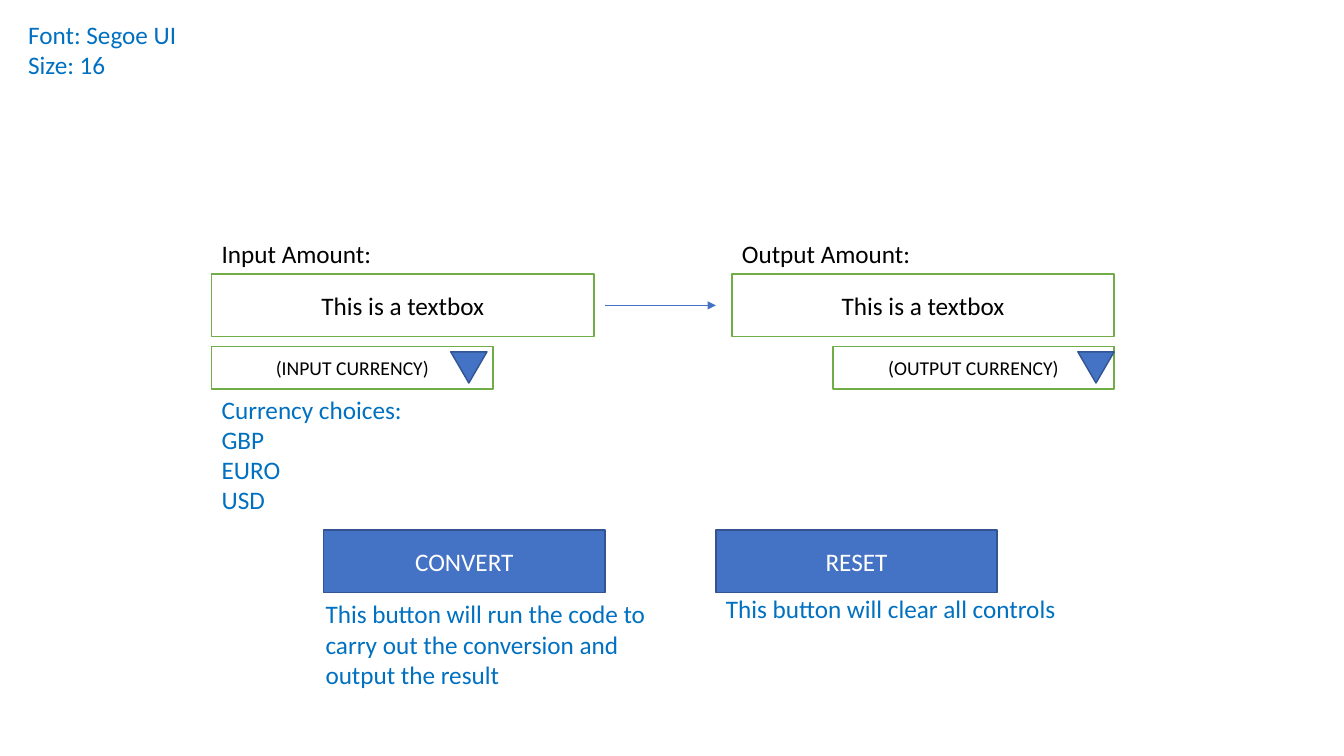
import pptx
import pptx.dml.color
import pptx.enum.shapes
import pptx.enum.text
import pptx.oxml
import pptx.oxml.ns
import pptx.util

Inches = pptx.util.Inches
Pt = pptx.util.Pt
RGBColor = pptx.dml.color.RGBColor
SHAPES = pptx.enum.shapes.MSO_SHAPE
ALIGN = pptx.enum.text.PP_ALIGN
ANCHOR = pptx.enum.text.MSO_ANCHOR

BLACK = RGBColor(0x00, 0x00, 0x00)
WHITE = RGBColor(0xFF, 0xFF, 0xFF)
GREEN = RGBColor(0x70, 0xAD, 0x47)
BLUE = RGBColor(0x44, 0x72, 0xC4)
DARK_BLUE = RGBColor(0x32, 0x54, 0x91)
NOTE_BLUE = RGBColor(0x00, 0x70, 0xC0)

# Grid in inches
INPUT_LEFT, OUTPUT_LEFT = 2.1, 7.26
FIELD_WIDTH, FIELD_HEIGHT = 3.79, 0.62
SMALL_WIDTH, LIST_HEIGHT = 2.79, 0.42
LABEL_TOP, FIELD_TOP, LIST_TOP, BUTTON_TOP = 2.32, 2.72, 3.44, 5.26
CONVERT_LEFT, RESET_LEFT = 3.21, 7.1

presentation = pptx.Presentation()
presentation.slide_width = Inches(13.33)
presentation.slide_height = Inches(7.5)
slide = presentation.slides.add_slide(presentation.slide_layouts[6])


def add_control(kind, left, top, width, height, fill, line, text="", size=18, color=BLACK):
    shape = slide.shapes.add_shape(
        kind, Inches(left), Inches(top), Inches(width), Inches(height))
    shape.shadow.inherit = False
    shape.fill.solid()
    shape.fill.fore_color.rgb = fill
    shape.line.color.rgb = line
    shape.line.width = Pt(1)
    if text:
        write(shape.text_frame, [[text]], size, color)
        shape.text_frame.vertical_anchor = ANCHOR.MIDDLE
        shape.text_frame.paragraphs[0].alignment = ALIGN.CENTER
    return shape


def write(text_frame, paragraphs, size, color):
    """Each paragraph is a list of lines, parted by line breaks."""
    text_frame.word_wrap = True
    for index, lines in enumerate(paragraphs):
        paragraph = text_frame.add_paragraph() if index else text_frame.paragraphs[0]
        for number, line in enumerate(lines):
            if number:
                paragraph.add_line_break()
            run = paragraph.add_run()
            run.text = line
            run.font.name = "Calibri"
            run.font.size = Pt(size)
            run.font.color.rgb = color


# Amount fields and currency lists
for left, list_left, arrow_left, list_text in [
    (INPUT_LEFT, INPUT_LEFT, 4.47, "(INPUT CURRENCY)"),
    (OUTPUT_LEFT, OUTPUT_LEFT + FIELD_WIDTH - SMALL_WIDTH, 10.69, "(OUTPUT CURRENCY)"),
]:
    add_control(SHAPES.RECTANGLE, left, FIELD_TOP, FIELD_WIDTH, FIELD_HEIGHT,
                WHITE, GREEN, "This is a textbox")
    add_control(SHAPES.RECTANGLE, list_left, LIST_TOP, SMALL_WIDTH, LIST_HEIGHT,
                WHITE, GREEN, list_text, 14)
    triangle = add_control(SHAPES.ISOSCELES_TRIANGLE, arrow_left, LIST_TOP + 0.05,
                           0.36, 0.31, BLUE, DARK_BLUE)
    triangle.rotation = 180

# Buttons
for left, caption in [(CONVERT_LEFT, "CONVERT"), (RESET_LEFT, "RESET")]:
    add_control(SHAPES.RECTANGLE, left, BUTTON_TOP, SMALL_WIDTH, FIELD_HEIGHT,
                BLUE, DARK_BLUE, caption, color=WHITE)

# Arrow from input to output
arrow_y = Inches(FIELD_TOP + FIELD_HEIGHT / 2)
arrow = slide.shapes.add_connector(
    pptx.enum.shapes.MSO_CONNECTOR.STRAIGHT, Inches(6), arrow_y, Inches(7.1), arrow_y)
arrow.line.color.rgb = BLUE
arrow.line.width = Pt(0.5)
qn = pptx.oxml.ns.qn
line_end = arrow.line._get_or_add_ln().makeelement(qn("a:tailEnd"), {"type": "triangle"})
arrow.line._get_or_add_ln().append(line_end)
properties = arrow._element.spPr
properties.append(properties.makeelement(qn("a:effectLst"), {}))

# Field labels and design notes
for left, top, width, height, color, paragraphs in [
    (INPUT_LEFT, LABEL_TOP, 1.69, 0.4, BLACK, [["Input Amount:"]]),
    (OUTPUT_LEFT, LABEL_TOP, 2.03, 0.4, BLACK, [["Output Amount:"]]),
    (INPUT_LEFT, 3.86, 2.07, 1.31, NOTE_BLUE,
     [["Currency choices:", "GBP", "EURO", "USD"]]),
    (0.18, 0.14, 1.69, 0.71, NOTE_BLUE, [["Font: Segoe UI"], ["Size: 16"]]),
    (3.13, 5.89, 3.48, 1.01, NOTE_BLUE,
     [["This button will run the code to", "carry out the conversion and",
       "output the result"]]),
    (RESET_LEFT, 5.84, 3.51, 0.4, NOTE_BLUE, [["This button will clear all controls"]]),
]:
    label = slide.shapes.add_textbox(
        Inches(left), Inches(top), Inches(width), Inches(height))
    write(label.text_frame, paragraphs, 18, color)

presentation.save("out.pptx")
